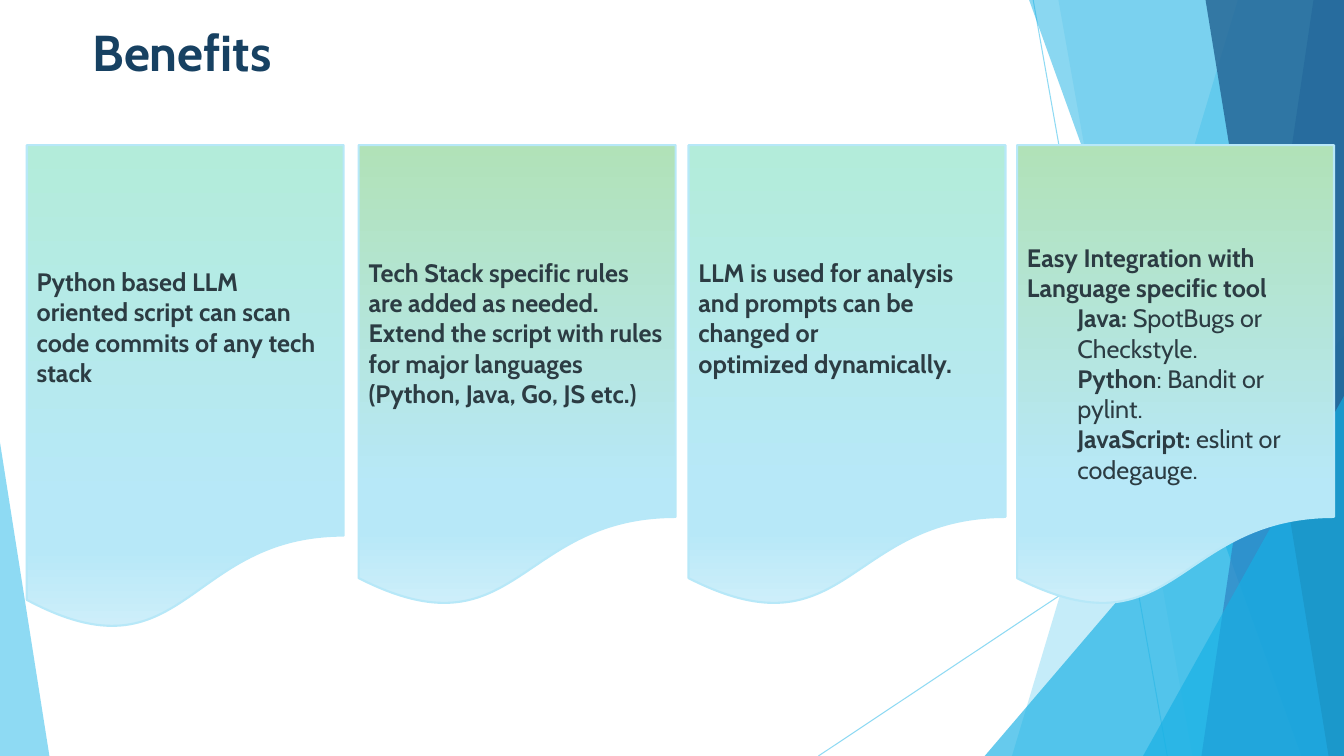
from lxml.etree import SubElement
from pptx import Presentation
from pptx.dml.color import RGBColor
from pptx.enum.shapes import MSO_CONNECTOR as Connector, MSO_SHAPE as Shape
from pptx.enum.text import MSO_ANCHOR as Anchor, PP_ALIGN as Align
from pptx.oxml.ns import qn
from pptx.util import Pt

WIDTH, HEIGHT = 960, 540
FONT = "Cabin"
NAVY = RGBColor(0x17, 0x41, 0x62)
SLATE = RGBColor(0x2C, 0x3C, 0x43)
SKY = RGBColor(0x5F, 0xCB, 0xEF)
CYAN = RGBColor(0x17, 0xB0, 0xE4)
BLUE = RGBColor(0x2E, 0x83, 0xC3)
DEEP = RGBColor(0x22, 0x62, 0x92)
MINT = RGBColor(0xB3, 0xEC, 0xDA)
GREEN = RGBColor(0xB1, 0xE2, 0xB8)
ICE = RGBColor(0xB7, 0xE8, 0xF8)
FROST = RGBColor(0xCF, 0xEF, 0xFA)

TITLE = "Benefits"
RAYS = [((738, 0), (833.8, 540)), ((960, 290.2), (584.6, 540))]
FACETS = [
    ("ribbon", (884.2, 722.9), SKY, 36),
    ("ribbon", (756, 851.8), SKY, 20),
    ("wedge", (703.4, WIDTH, 239.8, 1), CYAN, 66),
    ("ribbon", (735.1, 929.5), CYAN, 50),
    ("ribbon", (938.2, 858.2), BLUE, 70),
    ("ribbon", (861.1, 949), DEEP, 80),
    ("wedge", (816.5, WIDTH, 283, 1), CYAN, 66),
    ("wedge", (0, 35.3, 316.1, 0), SKY, 70),
]
CARD_TOP, CARD_WIDTH = 103.7, 226.4
CARDS = [
    (19.1, 347.8, 86.7, MINT, [
        (0, "Python based LLM oriented script can scan code commits of any tech stack", ""),
    ]),
    (256.2, 331.2, 80.1, GREEN, [
        (0, "Tech Stack specific rules are added as needed.", ""),
        (0, "Extend the script with rules for major languages (Python, Java, Go, JS etc.)", ""),
    ]),
    (491.8, 331.2, 80.1, MINT, [
        (0, "LLM is used for analysis and prompts can be changed or", ""),
        (0, "optimized dynamically.", ""),
    ]),
    (726.5, 331.2, 69.3, GREEN, [
        (0, "Easy Integration with Language specific tool", ""),
        (36, "Java: ", "SpotBugs or Checkstyle."),
        (36, "Python", ": Bandit or pylint."),
        (36, "JavaScript: ", "eslint or codegauge."),
    ]),
]


def set_opacity(shape, percent):
    color = next(shape._element.spPr.iter(qn("a:srgbClr")))
    SubElement(color, qn("a:alpha")).set("val", str(percent * 1000))


def add_ray(page, start, end):
    ray = page.shapes.add_connector(Connector.STRAIGHT, *map(Pt, start + end))
    ray.line.color.rgb = SKY
    ray.line.width = Pt(0.75)
    set_opacity(ray, 70)
    SubElement(ray._element.spPr, qn("a:effectLst"))


def add_facet(page, kind, geometry, color, opacity):
    if kind == "ribbon":
        top_x, bottom_x = geometry
        builder = page.shapes.build_freeform(Pt(top_x), 0)
        corners = [(WIDTH, 0), (WIDTH, HEIGHT), (bottom_x, HEIGHT)]
        builder.add_line_segments([(Pt(x), Pt(y)) for x, y in corners], close=True)
        facet = builder.convert_to_shape()
    else:
        left, right, top, apex = geometry
        facet = page.shapes.add_shape(
            Shape.ISOSCELES_TRIANGLE, Pt(left), Pt(top), Pt(right - left), Pt(HEIGHT - top))
        facet.adjustments[0] = apex
    facet.shadow.inherit = False
    facet.fill.solid()
    facet.fill.fore_color.rgb = color
    facet.line.fill.background()
    set_opacity(facet, opacity)


def add_span(para, text, size, color, bold):
    span = para.add_run()
    span.text = text
    span.font.name = FONT
    span.font.size = Pt(size)
    span.font.color.rgb = color
    span.font.bold = bold


def fill_gradient(shape, top_color):
    shape.fill.gradient()
    shape.fill.gradient_angle = 270
    stops = next(shape._element.spPr.iter(qn("a:gsLst")))
    for stop in list(stops):
        stops.remove(stop)
    for position, color in [(0, top_color), (74, ICE), (83, ICE), (100, FROST)]:
        stop = SubElement(stops, qn("a:gs"))
        stop.set("pos", str(position * 1000))
        SubElement(stop, qn("a:srgbClr")).set("val", str(color))


def add_card(page, left, height, inset, top_color, paragraphs):
    card = page.shapes.add_shape(
        Shape.FLOWCHART_DOCUMENT, Pt(left), Pt(CARD_TOP), Pt(CARD_WIDTH), Pt(height))
    card.shadow.inherit = False
    fill_gradient(card, top_color)
    card.line.color.rgb = ICE
    card.line.width = Pt(1.5)
    frame = card.text_frame
    frame.word_wrap = True
    frame.vertical_anchor = Anchor.TOP
    frame.margin_top = Pt(inset)
    frame.margin_bottom = 0
    for index, (indent, strong, plain) in enumerate(paragraphs):
        para = frame.add_paragraph() if index else frame.paragraphs[0]
        para.alignment = Align.LEFT
        if indent:
            properties = para._p.get_or_add_pPr()
            properties.set("marL", str(Pt(indent)))
            properties.set("indent", "0")
        add_span(para, strong, 18, SLATE, True)
        if plain:
            add_span(para, plain, 18, SLATE, False)


def main():
    deck = Presentation()
    deck.slide_width, deck.slide_height = Pt(WIDTH), Pt(HEIGHT)
    page = deck.slides.add_slide(deck.slide_layouts[6])
    for start, end in RAYS:
        add_ray(page, start, end)
    for facet in FACETS:
        add_facet(page, *facet)
    box = page.shapes.add_textbox(Pt(59), Pt(11.5), Pt(828), Pt(104.4))
    box.text_frame.word_wrap = True
    add_span(box.text_frame.paragraphs[0], TITLE, 36, NAVY, True)
    for card in CARDS:
        add_card(page, *card)
    deck.save("out.pptx")


if __name__ == "__main__":
    main()
